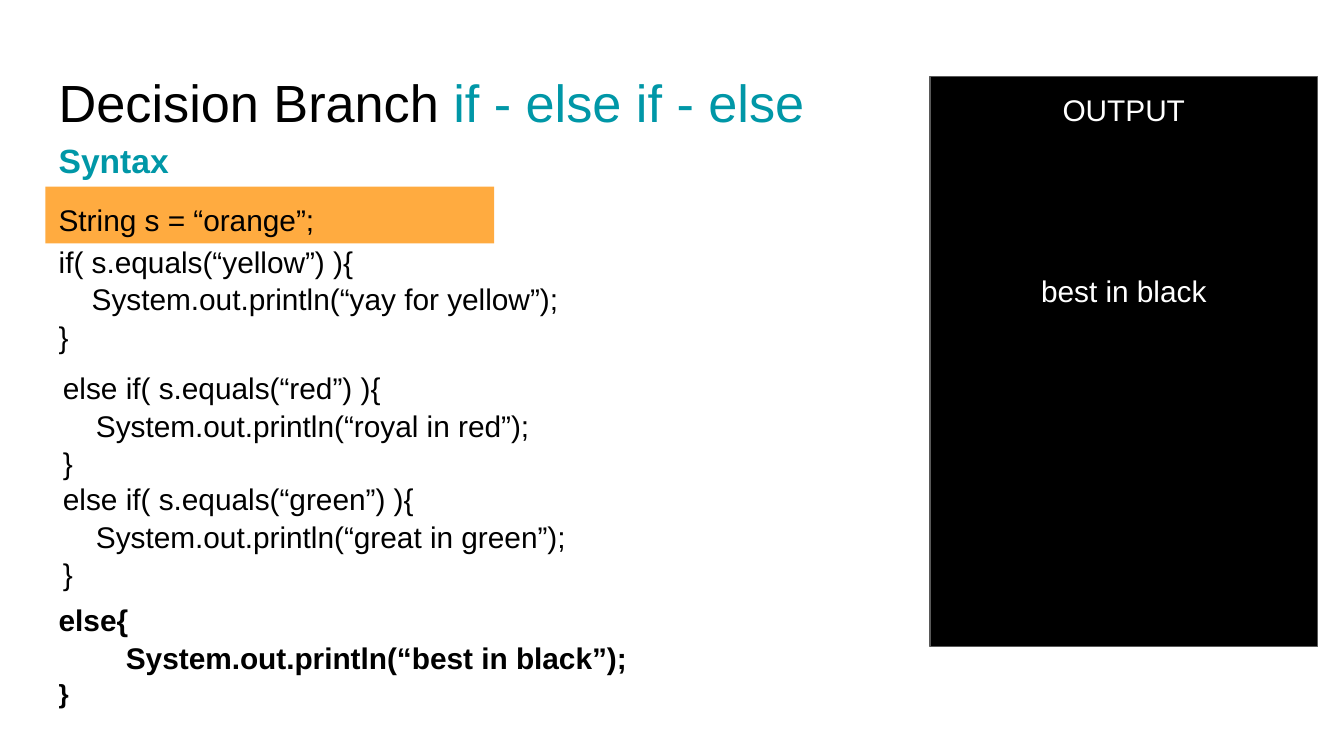
"""Build a slide on the if - else if - else branch with its program output."""
from typing import NamedTuple

from pptx import Presentation
from pptx.dml.color import RGBColor
from pptx.enum.shapes import MSO_SHAPE as Kind
from pptx.enum.text import MSO_ANCHOR as Anchor, MSO_AUTO_SIZE as Fit, PP_ALIGN as Align
from pptx.util import Cm, Pt

BLACK = RGBColor(0x00, 0x00, 0x00)
WHITE = RGBColor(0xFF, 0xFF, 0xFF)
TEAL = RGBColor(0x00, 0x97, 0xA7)
AMBER = RGBColor(0xFF, 0xAB, 0x40)
GRAY = RGBColor(0x59, 0x59, 0x59)
LEFT = 0.86
STEP = 0.94


class Box(NamedTuple):
    left: float
    top: float
    width: float
    height: float


class Block(NamedTuple):
    box: Box
    lines: tuple[str, ...]
    size: int = 16
    color: RGBColor = BLACK
    bold: bool = False


def branch(left: float, top: float, test: str, reply: str) -> Block:
    lines = (f"{test}( s.equals({reply.split()[-1]}) ){{",)
    return Block(Box(left, top, 11, 2.49), lines)


def code(left: float, top: float, head: str, hue: str, reply: str) -> Block:
    lines = (f"{head}( s.equals(“{hue}”) ){{",
             f"    System.out.println(“{reply} {hue}”);", "}")
    return Block(Box(left, top, 11, 2.49), lines)


def place(shape, box: Box) -> None:
    shape.left, shape.top, shape.width, shape.height = map(Cm, box)


def style(par, size: int, color: RGBColor, bold: bool = False) -> None:
    par.line_spacing = 1.05
    font = par.font
    font.name, font.size, font.bold = "Arial", Pt(size), bold
    font.color.rgb = color


def frame(shape):
    text = shape.text_frame
    text.word_wrap, text.auto_size = True, Fit.NONE
    text.vertical_anchor = Anchor.TOP
    text.margin_left = text.margin_right = Cm(0.25)
    text.margin_top = text.margin_bottom = Cm(0.25)
    return text


def write(shape, block: Block, align: Align = Align.LEFT) -> list:
    text = frame(shape)
    text.text = "\n".join(block.lines)
    for par in text.paragraphs:
        par.alignment = align
        style(par, block.size, block.color, block.bold)
    return list(text.paragraphs)


def add_text(slide, block: Block) -> list:
    return write(slide.shapes.add_textbox(*map(Cm, block.box)), block)


def add_rect(slide, block: Block, fill: RGBColor, align: Align = Align.LEFT):
    rect = slide.shapes.add_shape(Kind.RECTANGLE, *map(Cm, block.box))
    rect.shadow.inherit = False
    rect.fill.solid()
    rect.fill.fore_color.rgb = fill
    rect.line.fill.background()
    write(rect, block, align)
    return rect


def add_title(slide) -> None:
    title = slide.shapes.title
    place(title, Box(LEFT, 1.02, 23.67, 1.6))
    par = frame(title).paragraphs[0]
    par.alignment = Align.LEFT
    style(par, 28, BLACK)
    par.add_run().text = "Decision Branch "
    run = par.add_run()
    run.text = "if - else if - else"
    run.font.color.rgb = TEAL


def main() -> None:
    deck = Presentation()
    deck.slide_width, deck.slide_height = Cm(25.4), Cm(14.29)
    slide = deck.slides.add_slide(deck.slide_layouts[5])
    add_title(slide)
    add_text(slide, Block(Box(LEFT, 2.36, 13.74, 1.6), ("Syntax",), 18, TEAL, True))
    add_rect(slide, Block(Box(LEFT, 3.53, 8.48, 1.07), ("String s = “orange”;",)), AMBER)
    add_text(slide, code(LEFT, 4.32, "if", "yellow", "yay for"))

    last = Block(Box(LEFT, 11.1, 11.84, 2.31),
                 ("else{", "System.out.println(“best in black”);", "}"), bold=True)
    pars = add_text(slide, last)
    pars[1]._p.get_or_add_pPr().set("indent", str(Cm(1.27)))
    pars[2].font.size = Pt(14)

    for top, hue, reply in ((6.71, "red", "royal in"), (8.81, "green", "great in")):
        add_text(slide, code(STEP, top, "else if", hue, reply))

    screen = Block(Box(17.58, 1.45, 7.32, 10.77), ("OUTPUT", "best in black"), color=WHITE)
    rect = add_rect(slide, screen, BLACK, Align.CENTER)
    rect.line.color.rgb, rect.line.width = GRAY, Pt(0.75)
    rect.text_frame.paragraphs[1].space_before = Pt(77)
    deck.save("out.pptx")


if __name__ == "__main__":
    main()
